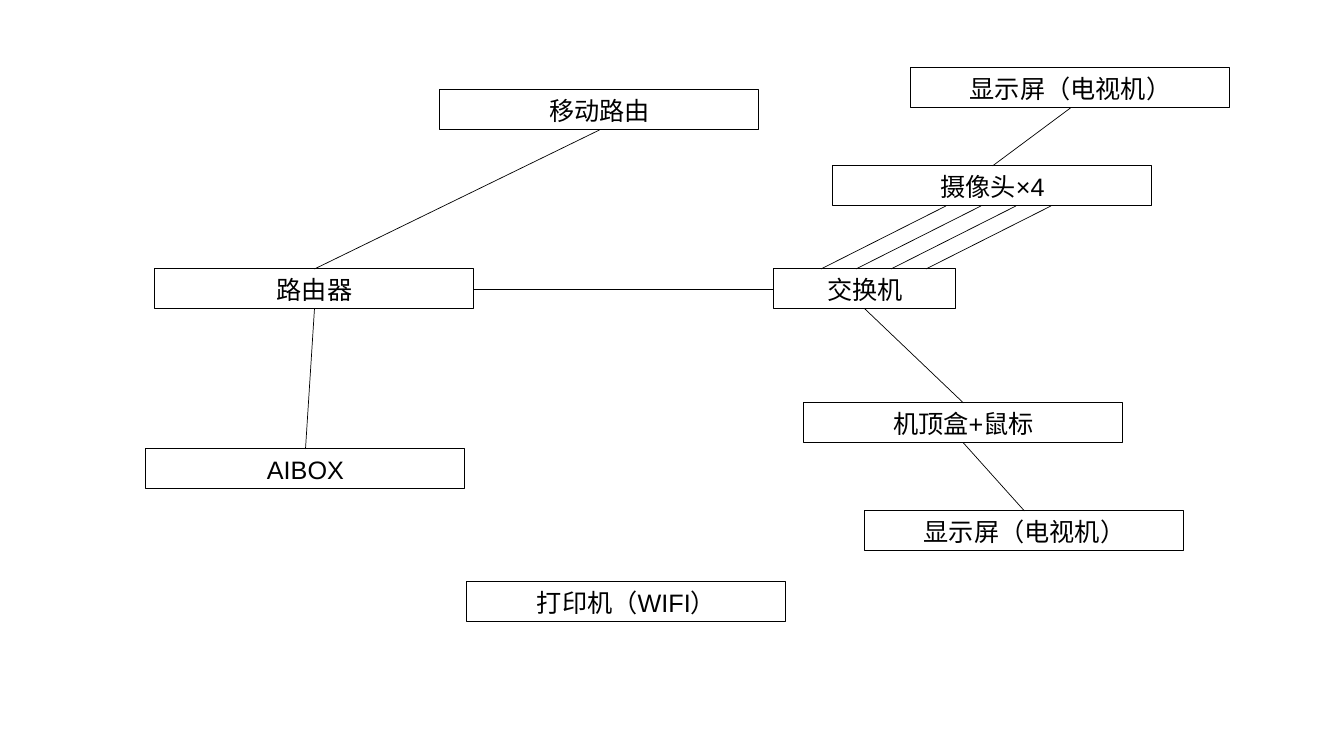
from dataclasses import dataclass

from pptx import Presentation
from pptx import util as u
from pptx.dml.color import RGBColor
from pptx.enum import shapes, text
from pptx.oxml.ns import qn
from lxml import etree

SLIDE_W, SLIDE_H = 1344, 756
EMU_PER_PX = u.Inches(13.3333) / SLIDE_W
BLACK = RGBColor(0x00, 0x00, 0x00)
FONT = "Arial"
BOX_W, BOX_H = 319, 40
TOP, LEFT, BOTTOM, RIGHT = range(4)  # connection sites of a rectangle


def px(length: int) -> u.Emu:
    return u.Emu(round(length * EMU_PER_PX))


@dataclass(frozen=True)
class Device:
    label: str
    x: int
    y: int
    width: int = BOX_W


@dataclass(frozen=True)
class Link:
    start: Device
    start_site: int
    end: Device
    end_site: int


# Devices
mobile_router = Device("移动路由", 440, 90)
router = Device("路由器", 155, 269)
switch = Device("交换机", 774, 269, 182)
ai_box = Device("AIBOX", 146, 449)
printer = Device("打印机（WIFI）", 467, 582)
set_top_box = Device("机顶盒+鼠标", 804, 403)
lower_display = Device("显示屏（电视机）", 865, 511)
cameras = Device("摄像头×4", 833, 166)
upper_display = Device("显示屏（电视机）", 911, 68)
DEVICES = [mobile_router, router, switch, ai_box, printer,
           set_top_box, lower_display, cameras, upper_display]

# Single cables between devices
LINKS = [
    Link(mobile_router, BOTTOM, router, TOP),
    Link(router, RIGHT, switch, LEFT),
    Link(router, BOTTOM, ai_box, TOP),
    Link(switch, BOTTOM, set_top_box, TOP),
    Link(upper_display, BOTTOM, cameras, TOP),
    Link(set_top_box, BOTTOM, lower_display, TOP),
]

# Parallel cables from the cameras to the switch
CAMERA_COUNT = 4
CAMERA_X, SWITCH_X, CABLE_GAP = 946, 821, 35


def draw_device(slide, device: Device):
    box = slide.shapes.add_textbox(
        px(device.x), px(device.y), px(device.width), px(BOX_H))
    box.line.color.rgb = BLACK
    box.line.width = u.Pt(0.75)
    frame = box.text_frame
    frame.text = device.label
    frame.word_wrap = True
    frame.auto_size = text.MSO_AUTO_SIZE.SHAPE_TO_FIT_TEXT
    label = frame.paragraphs[0]
    label.alignment = text.PP_ALIGN.CENTER
    font = label.runs[0].font
    font.name, font.size, font.color.rgb = FONT, u.Pt(18), BLACK
    return box


def draw_cable(slide, x1: int = 0, y1: int = 0, x2: int = 0, y2: int = 0):
    cable = slide.shapes.add_connector(
        shapes.MSO_CONNECTOR.STRAIGHT, px(x1), px(y1), px(x2), px(y2))
    cable.line.color.rgb = BLACK
    cable.line.width = u.Pt(0.5)
    etree.SubElement(cable._element.spPr, qn("a:effectLst"))
    return cable


def main() -> None:
    deck = Presentation()
    deck.slide_width, deck.slide_height = px(SLIDE_W), px(SLIDE_H)
    slide = deck.slides.add_slide(deck.slide_layouts[6])

    boxes = {device: draw_device(slide, device) for device in DEVICES}

    for link in LINKS:
        cable = draw_cable(slide)
        cable.begin_connect(boxes[link.start], link.start_site)
        cable.end_connect(boxes[link.end], link.end_site)

    for camera in range(CAMERA_COUNT):
        offset = camera * CABLE_GAP
        draw_cable(slide, CAMERA_X + offset, cameras.y + BOX_H,
                   SWITCH_X + offset, switch.y)

    deck.save("out.pptx")


main()
